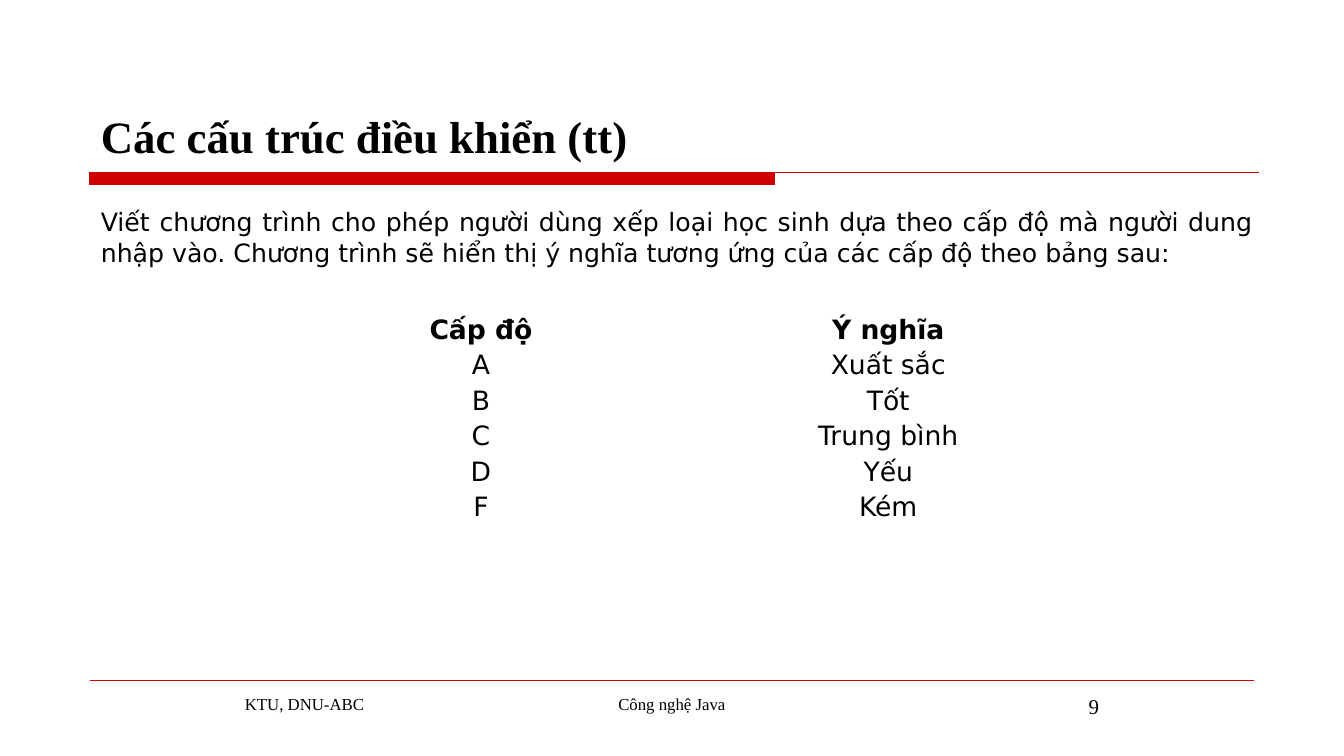
from dataclasses import dataclass

from lxml import etree
from pptx import Presentation
from pptx.dml.color import RGBColor
from pptx.enum.shapes import MSO_CONNECTOR
from pptx.enum.text import MSO_ANCHOR, MSO_AUTO_SIZE, PP_ALIGN
from pptx.oxml.ns import qn
from pptx.util import Inches, Pt

LEFT, MID, RIGHT, BOTH = PP_ALIGN.LEFT, PP_ALIGN.CENTER, PP_ALIGN.RIGHT, PP_ALIGN.JUSTIFY
TOP, CENTER, BOTTOM = MSO_ANCHOR.TOP, MSO_ANCHOR.MIDDLE, MSO_ANCHOR.BOTTOM
FIXED = MSO_AUTO_SIZE.NONE
STRAIGHT = MSO_CONNECTOR.STRAIGHT

TITLE = "Các cấu trúc điều khiển (tt)"
TASK = (
    "Viết chương trình cho phép người dùng xếp loại học sinh dựa theo cấp độ "
    "mà người dung nhập vào. Chương trình sẽ hiển thị ý nghĩa tương ứng của "
    "các cấp độ theo bảng sau:"
)
GRADES = [
    ("Cấp độ", "Ý nghĩa"),
    ("A", "Xuất sắc"),
    ("B", "Tốt"),
    ("C", "Trung bình"),
    ("D", "Yếu"),
    ("F", "Kém"),
]
FOOTER = [
    ("KTU, DNU-ABC", 2.33, 2.17, LEFT, "small"),
    ("Công nghệ Java", 5.08, 3.17, MID, "small"),
    ("9", 8.83, 2.17, RIGHT, "page"),
]


@dataclass(frozen=True)
class Theme:
    """Colours, fonts and type sizes of the slide."""

    red: RGBColor = RGBColor(0xCC, 0x00, 0x00)
    ink: RGBColor = RGBColor(0x00, 0x00, 0x00)
    serif: str = "Times New Roman"
    sans: str = "DejaVu Sans"
    head: int = 32
    body: int = 18
    cell: int = 19
    page: int = 15
    small: int = 12
    rule: float = 0.75


THEME = Theme()


def apply(target, values):
    """Set each named value on the target."""
    for name, value in values.items():
        setattr(target, name, value)


def place(shape, left, top, width, height):
    """Move and size a shape, in inches."""
    names = ("left", "top", "width", "height")
    apply(shape, dict(zip(names, map(Inches, (left, top, width, height)))))


def write(frame, text, face, size, align, bold=False):
    """Fill a text frame with one formatted paragraph."""
    frame.text = text
    para = frame.paragraphs[0]
    apply(para, {"alignment": align, "space_before": Pt(0)})
    apply(para.runs[0].font, {"name": face, "size": Pt(size), "bold": bold})
    para.runs[0].font.color.rgb = THEME.ink


def stroke(shape):
    """Give a shape the thin red line."""
    shape.line.color.rgb = THEME.red
    shape.line.width = Pt(THEME.rule)


def add_rules(slide):
    """Draw the title bar and the footer line."""
    left, bar, right, top, low, foot = map(Inches, (0.89, 7.68, 12.49, 1.71, 1.83, 6.75))
    pen = slide.shapes.build_freeform(left, top)
    pen.add_line_segments([(bar, top), (bar, low), (left, low)], close=True)
    pen.move_to(left, top)
    pen.add_line_segments([(right, top)], close=False)
    band = pen.convert_to_shape()
    band.shadow.inherit = False
    band.fill.solid()
    band.fill.fore_color.rgb = THEME.red
    stroke(band)
    line = slide.shapes.add_connector(STRAIGHT, left, foot, Inches(12.44), foot)
    stroke(line)
    etree.SubElement(line._element.spPr, qn("a:effectLst"))


def add_text(slide):
    """Fill the title and body placeholders."""
    title, body = slide.shapes.title, slide.placeholders[1]
    place(title, 0.9, 0.33, 11.63, 1.33)
    place(body, 0.9, 2, 11.63, 0.71)
    write(title.text_frame, TITLE, THEME.serif, THEME.head, LEFT, True)
    write(body.text_frame, TASK, THEME.sans, THEME.body, BOTH)
    for shape, anchor in ((title, BOTTOM), (body, TOP)):
        look = {"vertical_anchor": anchor, "auto_size": FIXED, "word_wrap": True}
        apply(shape.text_frame, look)
    props = body.text_frame.paragraphs[0]._p.get_or_add_pPr()
    for name in ("marL", "indent"):
        props.set(name, "0")
    etree.SubElement(props, qn("a:buNone"))


def add_grades(slide):
    """Build the table of grades."""
    rows, cols = len(GRADES), len(GRADES[0])
    area = map(Inches, (2.75, 3.1, 8.08, 2.11))
    table = slide.shapes.add_table(rows, cols, *area).table
    apply(table, {"first_row": False, "horz_banding": False})
    sides = ("margin_left", "margin_top", "margin_right", "margin_bottom")
    look = dict.fromkeys(sides, 0) | {"vertical_anchor": CENTER}
    for row, grade in enumerate(GRADES):
        for col, text in enumerate(grade):
            cell = table.cell(row, col)
            cell.fill.background()
            apply(cell, look)
            write(cell.text_frame, text, THEME.sans, THEME.cell, MID, row == 0)


def add_footer(slide):
    """Place the footer texts on one line."""
    for text, left, width, align, size in FOOTER:
        area = map(Inches, (left, 6.83, width, 0.52))
        frame = slide.shapes.add_textbox(*area).text_frame
        frame.word_wrap = True
        write(frame, text, THEME.serif, getattr(THEME, size), align)


def main():
    """Build and save the slide."""
    deck = Presentation()
    apply(deck, {"slide_width": Inches(13.33), "slide_height": Inches(7.5)})
    slide = deck.slides.add_slide(deck.slide_layouts[1])
    for part in (add_rules, add_text, add_grades, add_footer):
        part(slide)
    deck.save("out.pptx")


if __name__ == "__main__":
    main()
